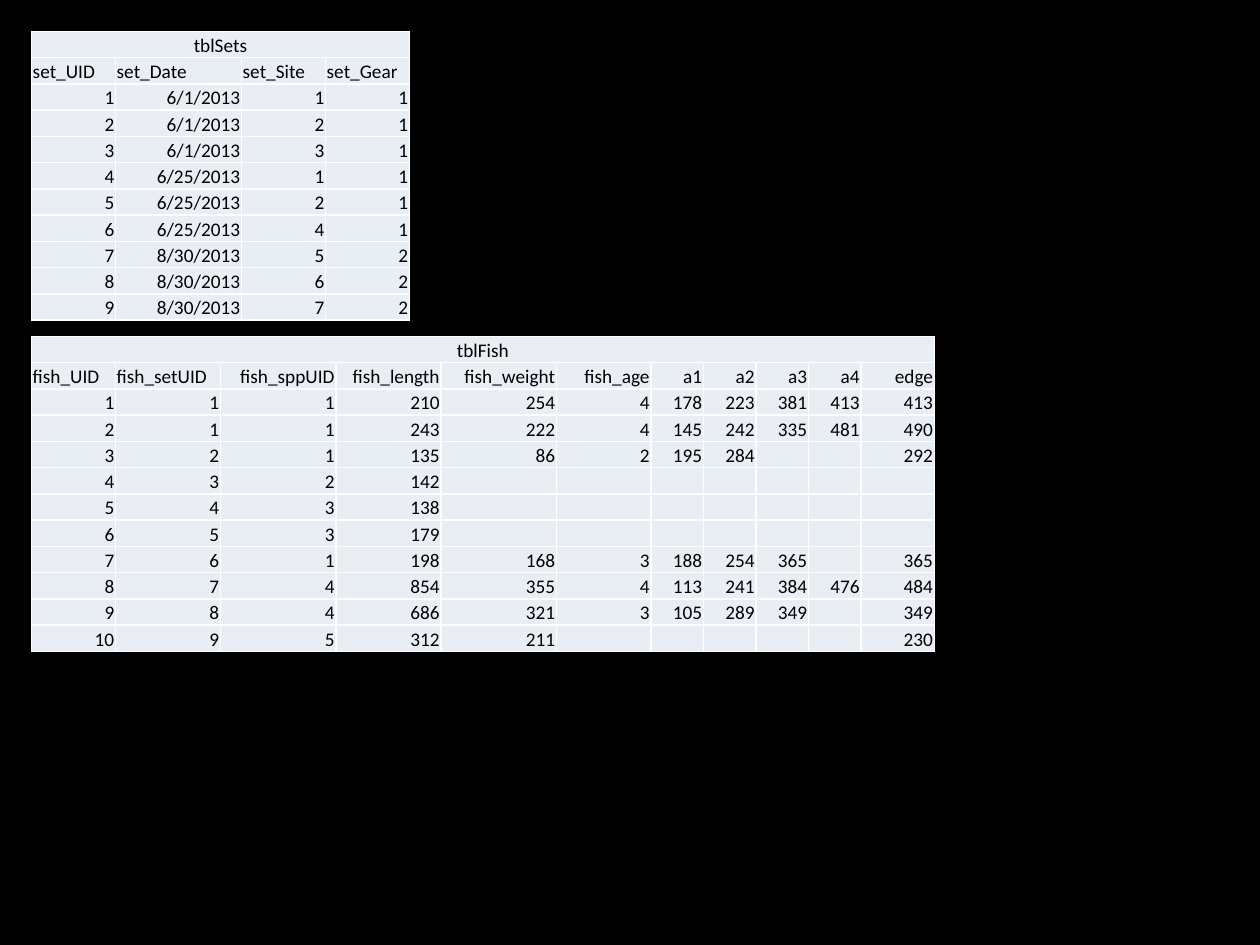
import dataclasses

import lxml.etree
import pptx
import pptx.dml.color
import pptx.enum.text
import pptx.oxml.ns
import pptx.util

Inches = pptx.util.Inches
Align = pptx.enum.text.PP_ALIGN


@dataclasses.dataclass(frozen=True)
class Theme:
    background: str = "000000"
    cell: str = "E9EDF4"
    border: str = "FFFFFF"
    text: str = "000000"
    font: str = "Calibri"
    size: int = 11
    border_width: int = 1


THEME = Theme()
UNIT = 1 / 12  # column grid, in inches
ROW_HEIGHT = 2.5 * UNIT

SETS_COLUMNS = [8, 12, 8, 8]  # widths in grid units
SETS_HEADER = ["set_UID", "set_Date", "set_Site", "set_Gear"]
SETS_ROWS = [
    [1, "6/1/2013", 1, 1],
    [2, "6/1/2013", 2, 1],
    [3, "6/1/2013", 3, 1],
    [4, "6/25/2013", 1, 1],
    [5, "6/25/2013", 2, 1],
    [6, "6/25/2013", 4, 1],
    [7, "8/30/2013", 5, 2],
    [8, "8/30/2013", 6, 2],
    [9, "8/30/2013", 7, 2],
]

FISH_COLUMNS = [8, 10, 11, 10, 11, 9, 5, 5, 5, 5, 7]
FISH_HEADER = ["fish_UID", "fish_setUID", "fish_sppUID", "fish_length", "fish_weight",
               "fish_age", "a1", "a2", "a3", "a4", "edge"]
FISH_ROWS = [
    [1, 1, 1, 210, 254, 4, 178, 223, 381, 413, 413],
    [2, 1, 1, 243, 222, 4, 145, 242, 335, 481, 490],
    [3, 2, 1, 135, 86, 2, 195, 284, "", "", 292],
    [4, 3, 2, 142] + [""] * 7,
    [5, 4, 3, 138] + [""] * 7,
    [6, 5, 3, 179] + [""] * 7,
    [7, 6, 1, 198, 168, 3, 188, 254, 365, "", 365],
    [8, 7, 4, 854, 355, 4, 113, 241, 384, 476, 484],
    [9, 8, 4, 686, 321, 3, 105, 289, 349, "", 349],
    [10, 9, 5, 312, 211, "", "", "", "", "", 230],
]


def rgb(color):
    return pptx.dml.color.RGBColor.from_string(color)


def add_element(parent, tag, **attributes):
    return lxml.etree.SubElement(parent, pptx.oxml.ns.qn(tag), attributes)


def draw_borders(cell):
    properties = cell._tc.get_or_add_tcPr()
    width = str(pptx.util.Pt(THEME.border_width))
    for side in ("a:lnL", "a:lnR", "a:lnT", "a:lnB"):
        line = add_element(properties, side, w=width)
        add_element(add_element(line, "a:solidFill"), "a:srgbClr", val=THEME.border)


def format_cell(cell, text, align):
    # Borders come before the fill in the cell properties
    draw_borders(cell)
    cell.fill.solid()
    cell.fill.fore_color.rgb = rgb(THEME.cell)
    cell.vertical_anchor = pptx.enum.text.MSO_ANCHOR.BOTTOM
    cell.margin_left = cell.margin_right = cell.margin_top = Inches(0.01)
    cell.margin_bottom = 0

    cell.text_frame.text = text
    para = cell.text_frame.paragraphs[0]
    para.alignment = align
    for span in para.runs:
        span.font.name = THEME.font
        span.font.size = pptx.util.Pt(THEME.size)
        span.font.color.rgb = rgb(THEME.text)
    if not text:
        # Keeps an empty cell from stretching its row
        add_element(para._p, "a:endParaRPr", sz=str(THEME.size * 100))


def add_data_table(page, left, top, title, columns, header, records, left_headers):
    """Place a table with a merged title row; the first left_headers headings align left."""
    rows = [[title] + [""] * (len(columns) - 1), header] + records
    frame = page.shapes.add_table(len(rows), len(columns), Inches(left), Inches(top),
                                  Inches(sum(columns) * UNIT), Inches(len(rows) * ROW_HEIGHT))
    table = frame.table
    table.first_row = table.horz_banding = False
    for column, units in zip(table.columns, columns):
        column.width = Inches(units * UNIT)
    for row in table.rows:
        row.height = Inches(ROW_HEIGHT)

    for row_index, values in enumerate(rows):
        for column_index, value in enumerate(values):
            align = Align.RIGHT
            if row_index == 0:
                align = Align.CENTER
            elif row_index == 1 and column_index < left_headers:
                align = Align.LEFT
            format_cell(table.cell(row_index, column_index), str(value), align)
    table.cell(0, 0).merge(table.cell(0, len(columns) - 1))


def main():
    deck = pptx.Presentation()
    deck.slide_width, deck.slide_height = Inches(10), Inches(7.5)
    page = deck.slides.add_slide(deck.slide_layouts[6])
    page.background.fill.solid()
    page.background.fill.fore_color.rgb = rgb(THEME.background)

    # Sampling sets above, fish records below
    add_data_table(page, 0.25, 0.25, "tblSets", SETS_COLUMNS, SETS_HEADER, SETS_ROWS, 4)
    add_data_table(page, 0.25, 2.67, "tblFish", FISH_COLUMNS, FISH_HEADER, FISH_ROWS, 2)
    deck.save("out.pptx")


if __name__ == "__main__":
    main()
